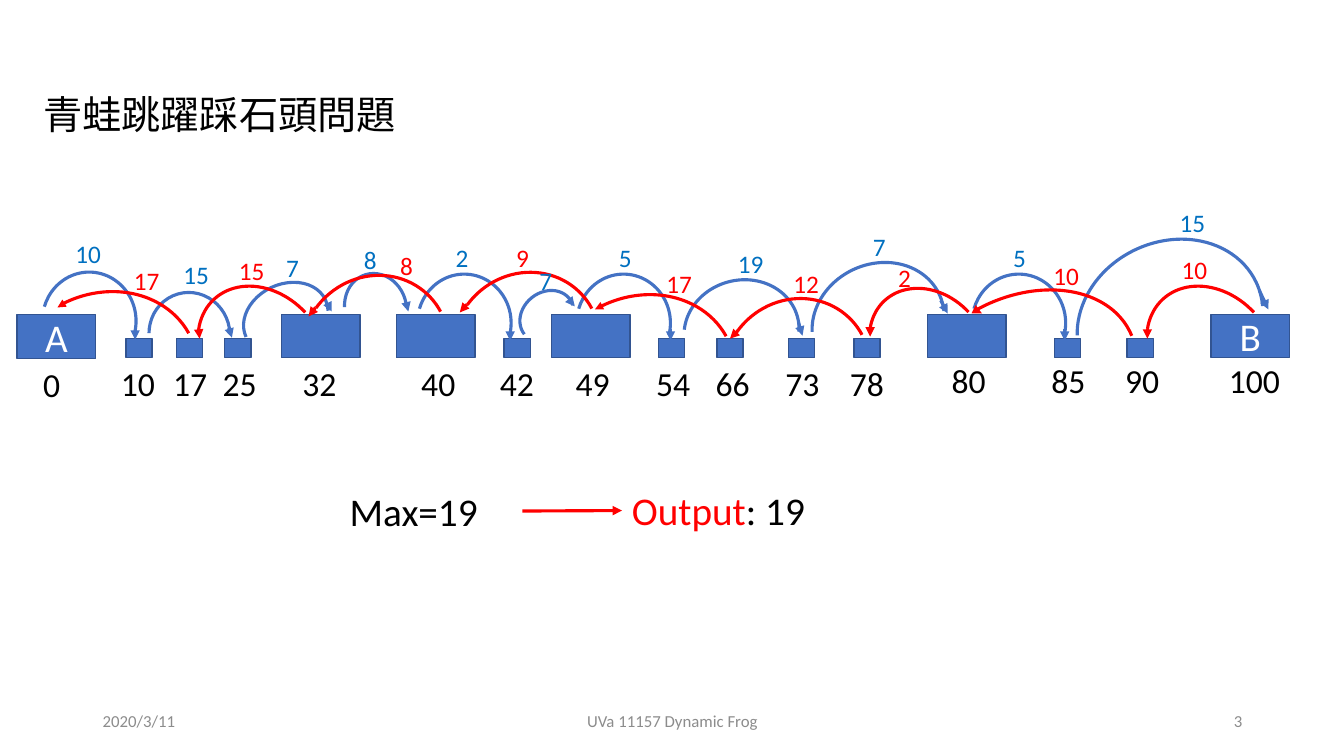
"""Build the slide about the frog that hops across stones and back."""
from dataclasses import dataclass
from typing import NamedTuple

from lxml import etree
from pptx import Presentation
from pptx.dml.color import RGBColor
from pptx.enum.shapes import MSO_CONNECTOR, MSO_SHAPE
from pptx.enum.text import MSO_ANCHOR, MSO_AUTO_SIZE, PP_ALIGN
from pptx.oxml.ns import qn
from pptx.util import Pt

EMU_PER_PX = 9144
RECTANGLE, ARC = MSO_SHAPE.RECTANGLE, MSO_SHAPE.ARC
STRAIGHT = MSO_CONNECTOR.STRAIGHT
TOP, MIDDLE = MSO_ANCHOR.TOP, MSO_ANCHOR.MIDDLE
LEFT, CENTER, RIGHT = PP_ALIGN.LEFT, PP_ALIGN.CENTER, PP_ALIGN.RIGHT
GROW, FIXED = MSO_AUTO_SIZE.SHAPE_TO_FIT_TEXT, MSO_AUTO_SIZE.NONE
TOP_SITE, LEFT_SITE = 0, 1
TITLE_ONLY = 5


@dataclass(frozen=True)
class Theme:
    font: str = "Calibri"
    title_font: str = "Noto Sans CJK SC"
    black: str = "000000"
    white: str = "FFFFFF"
    gray: str = "8C8C8C"
    stone: str = "4472C4"
    stone_edge: str = "325491"
    there: str = "4472C4"
    there_label: str = "0070C0"
    back: str = "FF0000"
    large: int = 28
    medium: int = 24
    small: int = 18
    footer: int = 12
    edge: float = 1
    stroke: float = 2.25
    thin: float = 0.5


THEME = Theme()


class Area(NamedTuple):
    left: int
    top: int
    width: int
    height: int


class Span(NamedTuple):
    text: str
    color: str


class Stone(NamedTuple):
    position: int
    left: int
    large: bool
    label_left: int
    label_top: int = 355
    label_width: int = 54
    name: str = ""
    height: int = 43


class Sweep(NamedTuple):
    start: float
    end: float


class Hop(NamedTuple):
    distance: int
    label: tuple[int, int]
    arc: Area
    rotation: float
    sweep: Sweep
    tip_from: tuple[int, int]
    tip_to: tuple[int, int]
    tip_width: float = THEME.stroke


class Footer(NamedTuple):
    text: str
    left: int
    width: int
    align: PP_ALIGN


STONES = [
    Stone(0, 17, True, 33, 356, name="A", height=44),
    Stone(10, 125, False, 110),
    Stone(17, 175, False, 162),
    Stone(25, 223, False, 211),
    Stone(32, 279, True, 290),
    Stone(40, 393, True, 408),
    Stone(42, 500, False, 486),
    Stone(49, 547, True, 561),
    Stone(54, 653, False, 641),
    Stone(66, 711, False, 700),
    Stone(73, 782, False, 769),
    Stone(78, 847, False, 833),
    Stone(80, 920, True, 934, 352),
    Stone(85, 1046, False, 1033, 352),
    Stone(90, 1118, False, 1106, 352, 73),
    Stone(100, 1201, True, 1209, 352, 73, name="B"),
]

ROUND = Sweep(197.7, 14.89)
HALF = Sweep(180.41, 14.89)
STEEP = Sweep(242.47, 0)
LONG = Sweep(264.99, 2.28)
BROAD = Sweep(257.65, 13.22)
FLAT = Sweep(269.26, 358.11)

HOPS_THERE = [
    Hop(10, (65, 232), Area(42, 270, 93, 97), 0, ROUND, (134, 324), (134, 337)),
    Hop(15, (172, 252), Area(148, 290, 80, 83), 343.7, ROUND, (227, 325), (230, 335)),
    Hop(7, (274, 245), Area(240, 282, 87, 68), 334.7, HALF, (325, 301), (329, 309)),
    Hop(8, (351, 237), Area(342, 271, 61, 69), 343.7, ROUND, (403, 301), (405, 309)),
    Hop(2, (442, 235), Area(414, 272, 93, 97), 0, ROUND, (506, 326), (506, 338)),
    Hop(7, (525, 258), Area(514, 290, 57, 48), 321.4, HALF, (566, 299), (570, 304)),
    Hop(5, (604, 235), Area(572, 272, 93, 97), 0, ROUND, (665, 326), (665, 338)),
    Hop(19, (722, 241), Area(678, 278, 115, 103), 344.7, ROUND, (792, 320), (796, 333)),
    Hop(7, (856, 225), Area(804, 262, 134, 117), 334.7, ROUND, (933, 298), (940, 311)),
    Hop(5, (995, 235), Area(964, 272, 93, 97), 0, ROUND, (1056, 326), (1056, 338)),
    Hop(15, (1160, 201), Area(1066, 240, 189, 161), 334.7, ROUND, (1249, 288), (1258, 307)),
]
HOPS_BACK = [
    Hop(10, (1162, 247), Area(1144, 278, 115, 142), 317.2, STEEP, (1138, 326), (1138, 336)),
    Hop(10, (1035, 253), Area(894, 295, 239, 174), 333.6, LONG, (968, 308), (974, 311)),
    Hop(2, (881, 255), Area(868, 281, 107, 130), 317.2, STEEP, (863, 326), (863, 334)),
    Hop(12, (777, 261), Area(715, 298, 150, 142), 317.2, BROAD, (732, 328), (724, 336)),
    Hop(17, (651, 261), Area(536, 295, 196, 170), 333.6, FLAT, (596, 304), (590, 307), THEME.thin),
    Hop(9, (502, 236), Area(447, 272, 150, 142), 317.2, BROAD, (463, 302), (456, 310)),
    Hop(8, (387, 243), Area(297, 275, 150, 142), 317.2, BROAD, (313, 305), (306, 314)),
    Hop(15, (227, 248), Area(203, 278, 115, 142), 317.2, STEEP, (197, 326), (198, 336)),
    Hop(17, (123, 258), Area(3, 292, 196, 170), 333.6, FLAT, (62, 302), (57, 305), THEME.thin),
]
FOOTERS = [
    Footer("2020/3/11", 92, 300, LEFT),
    Footer("UVa 11157 Dynamic Frog", 442, 450, CENTER),
    Footer("3", 942, 300, RIGHT),
]


def px(*lengths: int) -> list[int]:
    return [length * EMU_PER_PX for length in lengths]


def write(box, spans: list[Span], size: int, align=LEFT, anchor=TOP, font: str = THEME.font) -> None:
    frame = box.text_frame
    frame.word_wrap = True
    frame.vertical_anchor = anchor
    para = frame.paragraphs[0]
    para.alignment = align
    for span in spans:
        run = para.add_run()
        run.text = span.text
        run.font.name = font
        run.font.size = Pt(size)
        run.font.color.rgb = RGBColor.from_string(span.color)
        etree.SubElement(run.font._element, qn("a:ea"), typeface=font)


def add_text(page, area: Area, spans: list[Span], size: int):
    box = page.shapes.add_textbox(*px(*area))
    write(box, spans, size)
    box.text_frame.margin_right = 0
    box.text_frame.auto_size = GROW
    return box


def add_arrow(page, start: tuple[int, int], end: tuple[int, int], color: str, width: float):
    arrow = page.shapes.add_connector(STRAIGHT, *px(*start, *end))
    arrow.line.color.rgb = RGBColor.from_string(color)
    arrow.line.width = Pt(width)
    etree.SubElement(arrow.line._get_or_add_ln(), qn("a:tailEnd"), type="triangle")
    etree.SubElement(arrow._element.spPr, qn("a:effectLst"))
    return arrow


def add_stone(page, stone: Stone, tops: dict) -> None:
    area = Area(stone.left, 312, 78, stone.height) if stone.large else Area(stone.left, 336, 26, 19)
    box = page.shapes.add_shape(RECTANGLE, *px(*area))
    box.shadow.inherit = False
    box.fill.solid()
    box.fill.fore_color.rgb = RGBColor.from_string(THEME.stone)
    box.line.color.rgb = RGBColor.from_string(THEME.stone_edge)
    box.line.width = Pt(THEME.edge)
    if stone.name:
        write(box, [Span(stone.name, THEME.white)], THEME.large, CENTER, MIDDLE)
    tops[(area.left + area.width // 2, area.top)] = box
    label = Area(stone.label_left, stone.label_top, stone.label_width, 50)
    add_text(page, label, [Span(str(stone.position), THEME.black)], THEME.medium)


def add_hop(page, hop: Hop, color: str, tops: dict) -> None:
    arc = page.shapes.add_shape(ARC, *px(*hop.arc))
    arc.shadow.inherit = False
    arc.fill.background()
    arc.line.color.rgb = RGBColor.from_string(color)
    arc.line.width = Pt(THEME.stroke)
    arc.rotation = hop.rotation
    for index, degrees in enumerate(hop.sweep):
        arc.adjustments[index] = degrees * 0.6
    tip = add_arrow(page, hop.tip_from, hop.tip_to, color, hop.tip_width)
    if hop.tip_to in tops:
        tip.end_connect(tops[hop.tip_to], TOP_SITE)


def main() -> None:
    deck = Presentation()
    deck.slide_width, deck.slide_height = px(1333, 750)
    page = deck.slides.add_slide(deck.slide_layouts[TITLE_ONLY])

    title = page.shapes.title
    title.left, title.top, title.width, title.height = px(33, 85, 484, 57)
    write(title, [Span("青蛙跳躍踩石頭問題", THEME.black)], THEME.large, font=THEME.title_font)
    title.text_frame.auto_size = GROW

    for footer in FOOTERS:
        box = page.shapes.add_textbox(*px(footer.left, 695, footer.width, 40))
        write(box, [Span(footer.text, THEME.gray)], THEME.footer, footer.align, MIDDLE)
        box.text_frame.auto_size = FIXED

    tops = {}
    for stone in STONES:
        add_stone(page, stone, tops)
    journeys = [(HOPS_THERE, THEME.there, THEME.there_label), (HOPS_BACK, THEME.back, THEME.back)]
    for hops, color, _ in journeys:
        for hop in hops:
            add_hop(page, hop, color, tops)
    for hops, _, color in journeys:
        for hop in hops:
            add_text(page, Area(*hop.label, 61, 40), [Span(str(hop.distance), color)], THEME.small)

    add_text(page, Area(337, 479, 187, 57), [Span("Max=19", THEME.black)], THEME.large)
    answer = [Span("Output", THEME.back), Span(": 19", THEME.black)]
    output = add_text(page, Area(617, 478, 226, 57), answer, THEME.large)
    arrow = add_arrow(page, (518, 507), (617, 507), THEME.back, THEME.stroke)
    arrow.end_connect(output, LEFT_SITE)

    deck.save("out.pptx")


if __name__ == "__main__":
    main()
